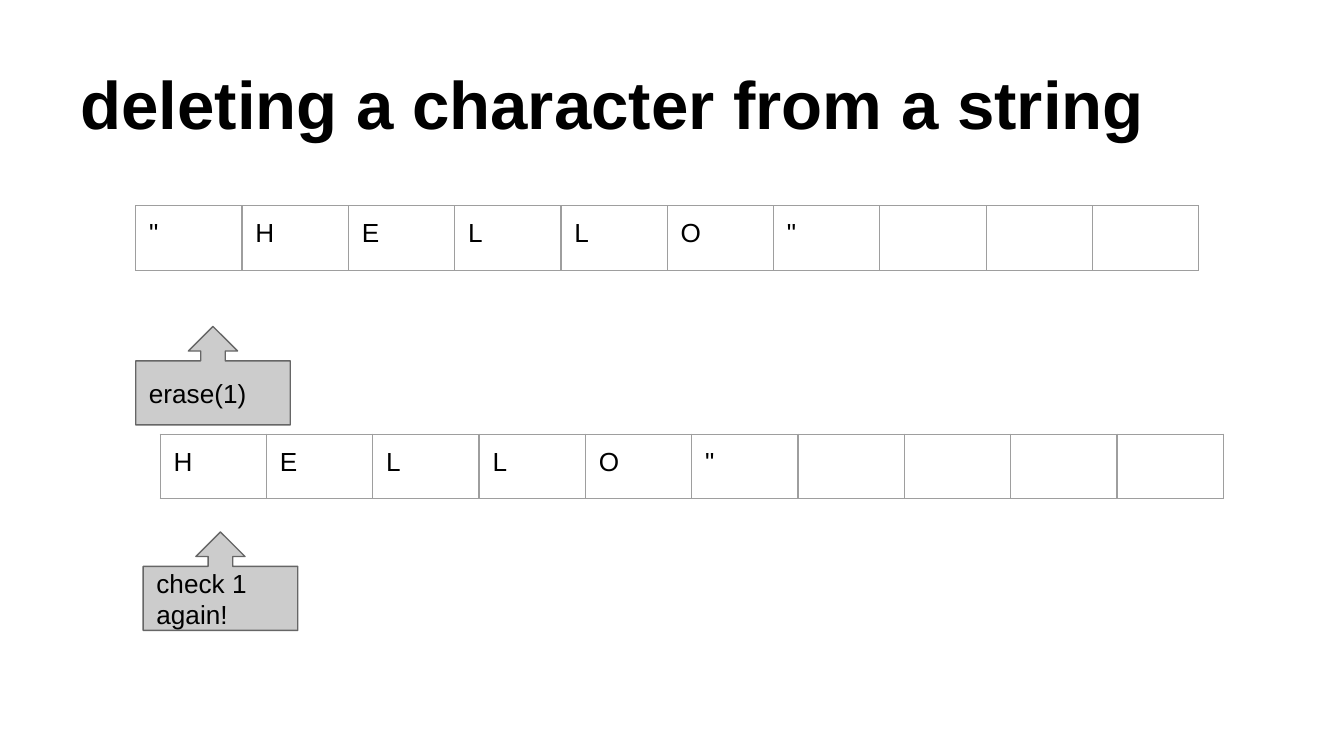
"""Build a slide showing how erasing a character shifts a string."""
from dataclasses import dataclass

from lxml.etree import SubElement
from pptx import Presentation
from pptx.dml.color import RGBColor
from pptx.enum.shapes import MSO_SHAPE
from pptx.enum.text import MSO_ANCHOR
from pptx.oxml.ns import qn
from pptx.util import Pt


@dataclass(frozen=True)
class Theme:
    font: str = "Arial"
    title_size: float = 36
    body_size: float = 14
    text: str = "000000"
    grid: str = "9E9E9E"
    callout_fill: str = "CCCCCC"
    callout_line: str = "666666"
    line_width: float = 0.75
    inset: float = 7.2


THEME = Theme()
TITLE = "deleting a character from a string"
STRINGS = [
    ('"HELLO"', 72.7, 110.2),
    ('HELLO"', 85.8, 232.6),
]
CALLOUTS = [
    ("erase(1)", 72.7, 174.9),
    ("check 1 again!", 76.7, 285),
]
CELL_COUNT, CELL_WIDTH, CELL_HEIGHT = 10, 56.95, 34.5
CALLOUT_WIDTH, CALLOUT_HEIGHT = 82.8, 52.7
CALLOUT_ADJUSTMENTS = (0.25, 0.25, 0.25, 0.65)


def set_insets(box):
    box.margin_left = box.margin_right = Pt(THEME.inset)
    box.margin_top = box.margin_bottom = Pt(THEME.inset)


def write(frame, text, size, bold=False):
    frame.word_wrap = True
    paragraph = frame.paragraphs[0]
    paragraph.text = text
    font = paragraph.font
    font.name, font.size, font.bold = THEME.font, Pt(size), bold
    font.color.rgb = RGBColor.from_string(THEME.text)


def add_borders(cell):
    properties = cell._tc.get_or_add_tcPr()
    for index, side in enumerate(("lnL", "lnR", "lnT", "lnB")):
        line = properties.makeelement(qn(f"a:{side}"), {"w": str(Pt(THEME.line_width))})
        fill = SubElement(line, qn("a:solidFill"))
        SubElement(fill, qn("a:srgbClr"), val=THEME.grid)
        properties.insert(index, line)


def add_string(slide, characters, left, top):
    frame = slide.shapes.add_table(
        1, CELL_COUNT, Pt(left), Pt(top), Pt(CELL_WIDTH * CELL_COUNT), Pt(CELL_HEIGHT))
    table = frame.table
    table.first_row = table.horz_banding = False
    for column in table.columns:
        column.width = Pt(CELL_WIDTH)
    for cell in table.iter_cells():
        cell.fill.background()
        add_borders(cell)
    for index, character in enumerate(characters):
        cell = table.cell(0, index)
        set_insets(cell)
        write(cell.text_frame, character, THEME.body_size)


def add_callout(slide, text, left, top):
    shape = slide.shapes.add_shape(
        MSO_SHAPE.UP_ARROW_CALLOUT, Pt(left), Pt(top), Pt(CALLOUT_WIDTH), Pt(CALLOUT_HEIGHT))
    for index, value in enumerate(CALLOUT_ADJUSTMENTS):
        shape.adjustments[index] = value
    shape.shadow.inherit = False
    shape.fill.solid()
    shape.fill.fore_color.rgb = RGBColor.from_string(THEME.callout_fill)
    shape.line.color.rgb = RGBColor.from_string(THEME.callout_line)
    shape.line.width = Pt(THEME.line_width)
    frame = shape.text_frame
    set_insets(frame)
    frame.vertical_anchor = MSO_ANCHOR.MIDDLE
    write(frame, text, THEME.body_size)
    frame.paragraphs[0].alignment = 1


def add_title(slide):
    frame = slide.shapes.add_textbox(Pt(36), Pt(16.5), Pt(648), Pt(67.5)).text_frame
    set_insets(frame)
    frame.vertical_anchor = MSO_ANCHOR.BOTTOM
    write(frame, TITLE, THEME.title_size, bold=True)


presentation = Presentation()
presentation.slide_width, presentation.slide_height = Pt(720), Pt(405)
slide = presentation.slides.add_slide(presentation.slide_layouts[6])
add_title(slide)
for string in STRINGS:
    add_string(slide, *string)
for callout in CALLOUTS:
    add_callout(slide, *callout)
presentation.save("out.pptx")
